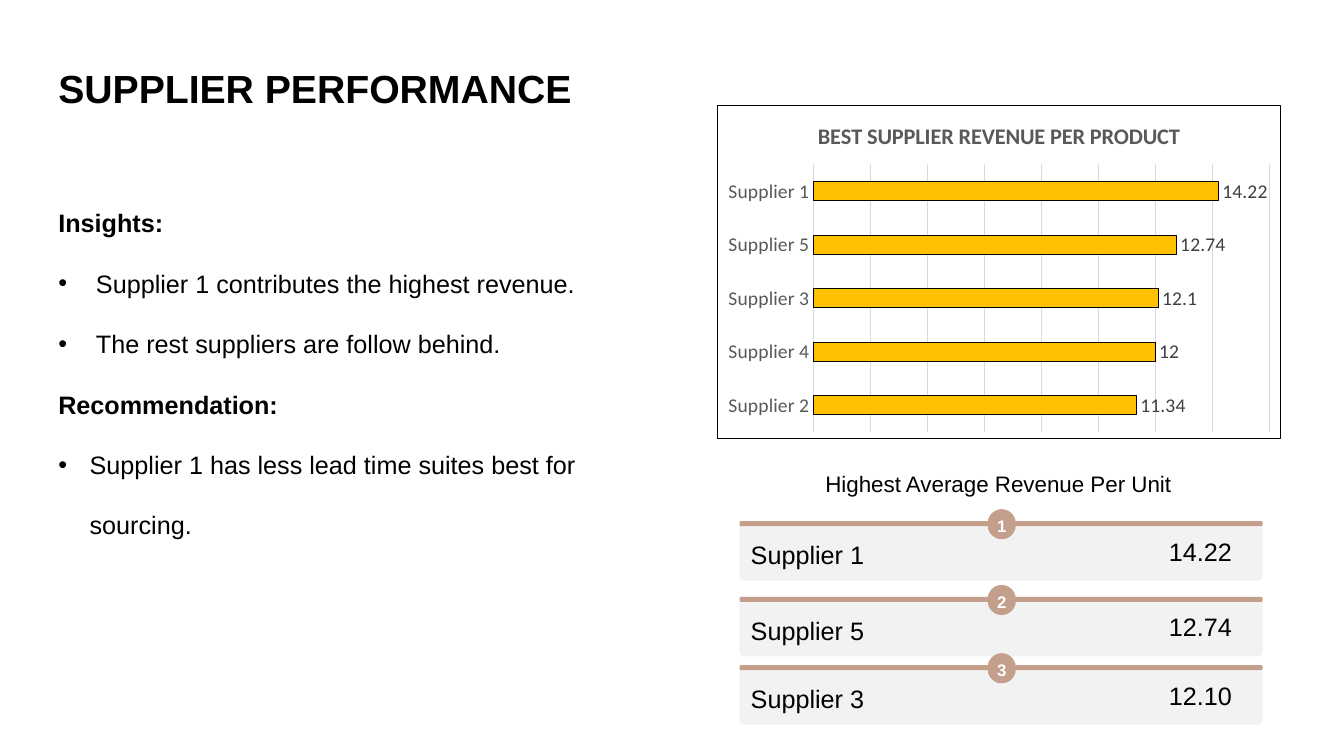
from lxml import etree
from pptx import Presentation
from pptx.chart.data import CategoryChartData
from pptx.dml.color import RGBColor
from pptx.enum.chart import XL_CHART_TYPE, XL_LABEL_POSITION, XL_TICK_LABEL_POSITION, XL_TICK_MARK
from pptx.enum.shapes import MSO_SHAPE
from pptx.enum.text import MSO_ANCHOR, PP_ALIGN
from pptx.oxml import parse_xml
from pptx.oxml.ns import nsdecls, qn
from pptx.util import Cm, Pt

BAR = XL_CHART_TYPE.BAR_CLUSTERED
OUTSIDE = XL_LABEL_POSITION.OUTSIDE_END
NO_TICK = XL_TICK_MARK.NONE
NO_LABELS = XL_TICK_LABEL_POSITION.NONE
ROUNDED = MSO_SHAPE.ROUNDED_RECTANGLE
MIDDLE = MSO_ANCHOR.MIDDLE
CENTER = PP_ALIGN.CENTER

BLACK, WHITE, GRAY = "000000", "FFFFFF", "595959"
GRID, CARD, TAN, AMBER = "D9D9D9", "F2F2F2", "C49F8C", "FFC000"


def color(value):
    return RGBColor.from_string(value)


def write(para, text, size, bold=False, ink=BLACK, spacing=None):
    para.line_spacing = spacing
    span = para.add_run()
    span.text = text
    span.font.name = "Arial"
    span.font.size = Pt(size)
    span.font.bold = bold
    span.font.color.rgb = color(ink)


deck = Presentation()
deck.slide_width, deck.slide_height = Cm(33.87), Cm(19.05)
page = deck.slides.add_slide(deck.slide_layouts[6])

title = page.shapes.add_textbox(Cm(1.22), Cm(1.45), Cm(29.21), Cm(1.7)).text_frame
title.word_wrap = True
title.vertical_anchor = MIDDLE
write(title.paragraphs[0], "SUPPLIER PERFORMANCE", 28, True, spacing=0.9)

notes = page.shapes.add_textbox(Cm(1.22), Cm(4.34), Cm(13.54), Cm(9.25)).text_frame
notes.word_wrap = True
lines = [
    ("Insights:", None),
    ("Supplier 1 contributes the highest revenue.", 0.95),
    ("The rest suppliers are follow behind.", 0.95),
    ("Recommendation:", None),
    ("Supplier 1 has less lead time suites best for sourcing.", 0.79),
]
for index, (text, indent) in enumerate(lines):
    para = notes.add_paragraph() if index else notes.paragraphs[0]
    write(para, text, 18, indent is None, spacing=2.0)
    if indent:
        settings = para._p.get_or_add_pPr()
        settings.set("marL", str(Cm(indent)))
        settings.set("indent", str(-Cm(indent)))
        etree.SubElement(settings, qn("a:buFont")).set("typeface", "Arial")
        etree.SubElement(settings, qn("a:buChar")).set("char", "•")

data = CategoryChartData()
data.categories = ["Supplier 2", "Supplier 4", "Supplier 3", "Supplier 5", "Supplier 1"]
data.add_series("Series 1", (11.34, 12, 12.1, 12.74, 14.22))
chart = page.shapes.add_chart(BAR, Cm(18.06), Cm(2.64), Cm(14.22), Cm(8.43), data).chart
chart.has_legend = False
chart.font.name = "Calibri"
chart.font.size = Pt(10)
chart.font.color.rgb = color(BLACK)
chart.has_title = True
heading = chart.chart_title.text_frame.paragraphs[0].add_run()
heading.text = "BEST SUPPLIER REVENUE PER PRODUCT"
heading.font.name = "Calibri"
heading.font.size = Pt(16)
heading.font.bold = True
heading.font.color.rgb = color(GRAY)
chart.chart_title.include_in_layout = False

names = chart.category_axis
names.major_tick_mark = NO_TICK
names.format.line.color.rgb = color(GRID)
names.format.line.width = Pt(0.75)
names.tick_labels.font.name = "Calibri"
names.tick_labels.font.size = Pt(14)
names.tick_labels.font.color.rgb = color(GRAY)

scale = chart.value_axis
scale.minimum_scale, scale.maximum_scale, scale.major_unit = 0, 16, 2
scale.major_tick_mark = NO_TICK
scale.tick_label_position = NO_LABELS
scale.format.line.fill.background()
scale.major_gridlines.format.line.color.rgb = color(GRID)
scale.major_gridlines.format.line.width = Pt(0.75)
scale.visible = False

plot = chart.plots[0]
plot.gap_width = 182
plot.vary_by_categories = False
bars = plot.series[0]
bars.format.fill.solid()
bars.format.fill.fore_color.rgb = color(AMBER)
bars.format.line.color.rgb = color(BLACK)
bars.format.line.width = Pt(0.75)
labels = bars.data_labels
labels.show_value = True
labels.position = OUTSIDE
labels.font.name = "Calibri"
labels.font.size = Pt(14)
labels.font.color.rgb = color("404040")

frame = parse_xml(
    f'<c:spPr {nsdecls("c", "a")}>'
    f'<a:solidFill><a:srgbClr val="{WHITE}"/></a:solidFill>'
    f'<a:ln w="{Pt(0.75)}"><a:solidFill><a:srgbClr val="{BLACK}"/></a:solidFill></a:ln>'
    '</c:spPr>'
)
chart._chartSpace.find(qn("c:chart")).addnext(frame)

captions = [(20.8, 12.04, 8.86, 0.61, "Highest Average Revenue Per Unit", 16, 13.5)]
ranking = [
    (13.13, "Supplier 1", "14.22"),
    (15.04, "Supplier 5", "12.74"),
    (16.76, "Supplier 3", "12.10"),
]
for rank, (top, supplier, revenue) in enumerate(ranking, 1):
    parts = [
        (18.64, top + 0.03, 13.18, 1.47, 0.08, CARD),
        (18.64, top, 13.18, 0.13, 0.3, TAN),
        (24.89, top - 0.3, 0.71, 0.76, 0.5, TAN),
    ]
    for left, y, width, height, rounding, fill in parts:
        box = page.shapes.add_shape(ROUNDED, Cm(left), Cm(y), Cm(width), Cm(height))
        box.adjustments[0] = rounding
        box.shadow.inherit = False
        box.fill.solid()
        box.fill.fore_color.rgb = color(fill)
        box.line.fill.background()
    badge = box.text_frame
    badge.margin_left = badge.margin_right = badge.margin_bottom = 0
    badge.margin_top = Cm(0.1)
    badge.word_wrap = False
    badge.vertical_anchor = MIDDLE
    badge.paragraphs[0].alignment = CENTER
    write(badge.paragraphs[0], str(rank), 12, True, WHITE)
    captions.append((18.92, top + 0.69, 3, 0.41, supplier, 18, 15))
    captions.append((29.46, top + 0.61, 1.73, 0.53, revenue, 18, 15))

for left, top, width, height, text, size, spacing in captions:
    caption = page.shapes.add_textbox(Cm(left), Cm(top), Cm(width), Cm(height)).text_frame
    caption.margin_left = caption.margin_top = caption.margin_right = caption.margin_bottom = 0
    caption.word_wrap = False
    write(caption.paragraphs[0], text, size, spacing=Pt(spacing))

deck.save("out.pptx")
